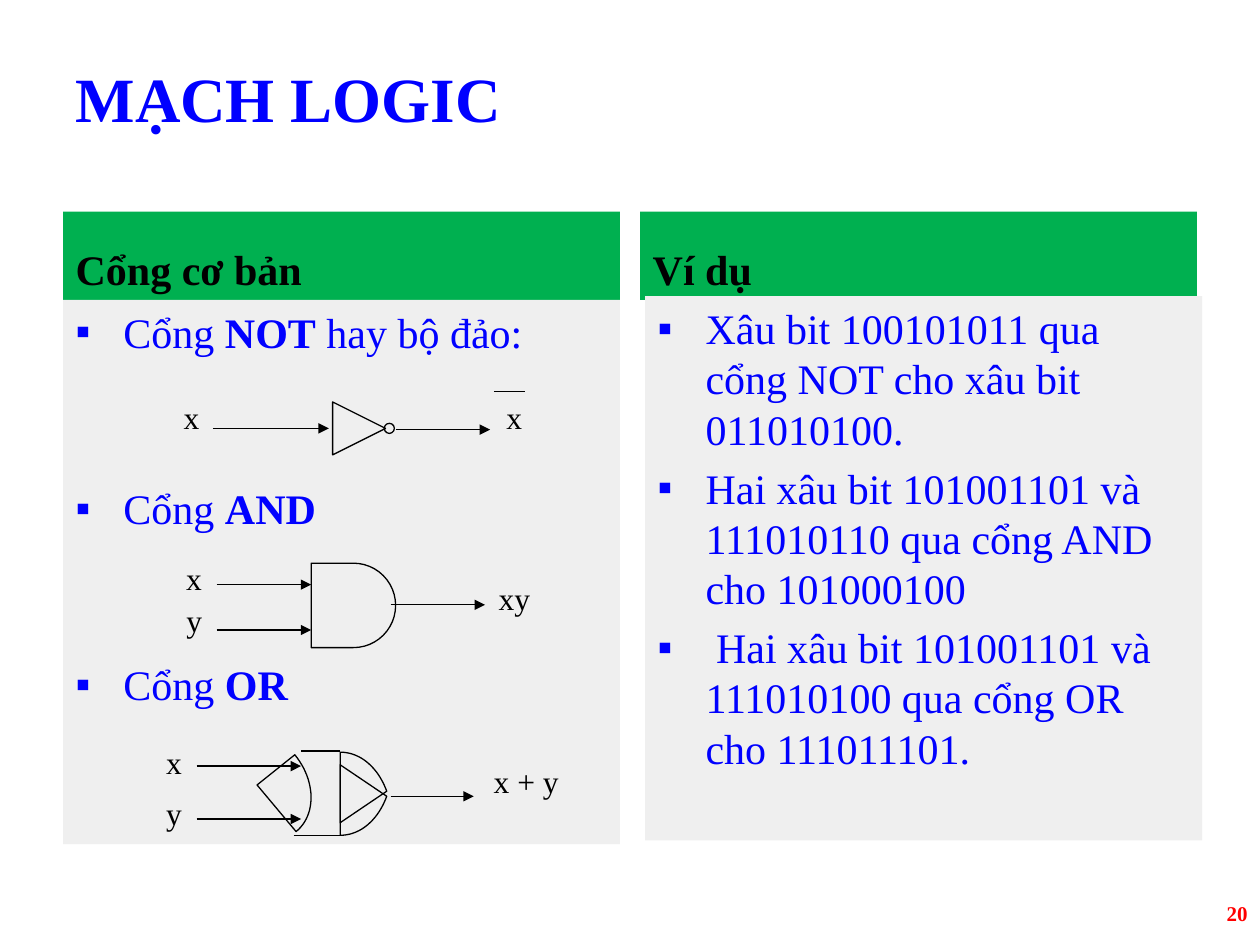
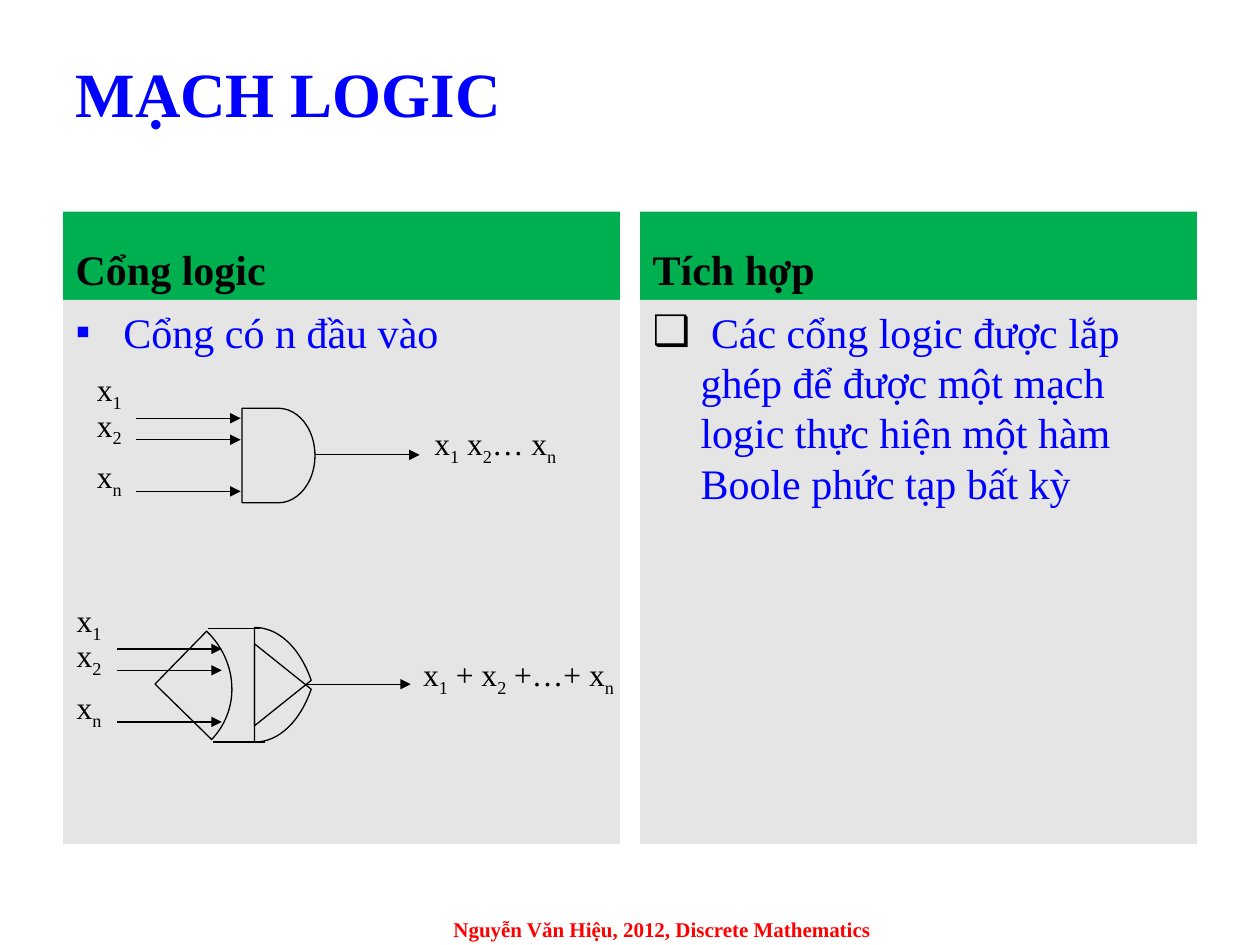
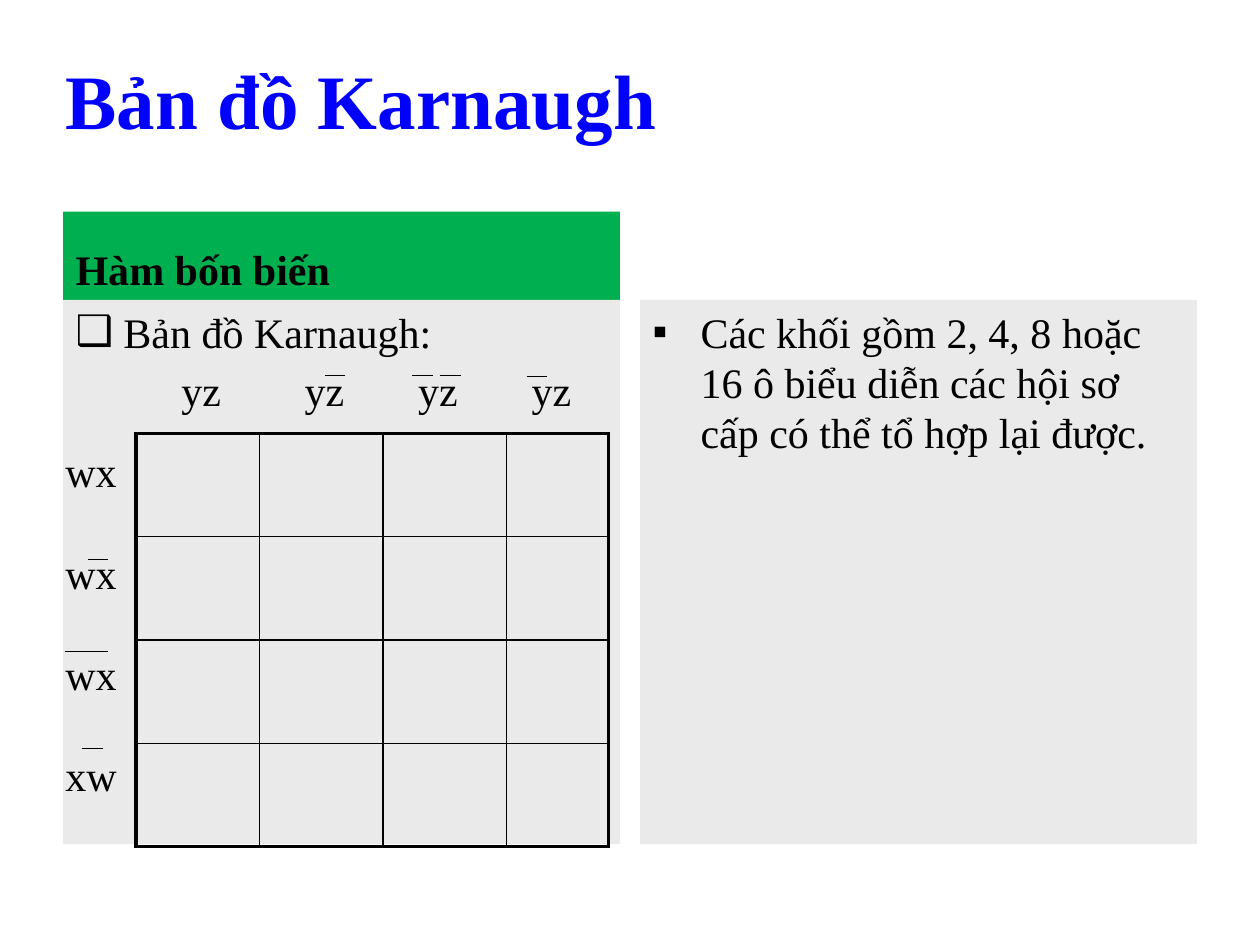
from lxml import etree
from pptx import Presentation
from pptx.dml.color import RGBColor
from pptx.enum.shapes import MSO_CONNECTOR, MSO_SHAPE
from pptx.enum.text import MSO_ANCHOR, MSO_AUTO_SIZE, PP_ALIGN
from pptx.oxml.ns import qn
from pptx.util import Inches, Pt

STRAIGHT = MSO_CONNECTOR.STRAIGHT
TRIANGLE = MSO_SHAPE.FLOWCHART_EXTRACT
CIRCLE = MSO_SHAPE.OVAL
AND_GATE = MSO_SHAPE.FLOWCHART_DELAY
LEFT, CENTER, RIGHT = PP_ALIGN.LEFT, PP_ALIGN.CENTER, PP_ALIGN.RIGHT
TOP, MIDDLE, BOTTOM = MSO_ANCHOR.TOP, MSO_ANCHOR.MIDDLE, MSO_ANCHOR.BOTTOM

FONT = "Times New Roman"
BLUE, GREEN, RED, BLACK = "0000FF", "00B050", "FF0000", "000000"
LEFT_HEAD, RIGHT_HEAD = (0.5, 1.68, 4.42, 0.7), (5.08, 1.68, 4.42, 0.7)
LEFT_BODY, RIGHT_BODY = (0.5, 2.38, 4.42, 4.32), (5.08, 2.38, 4.42, 4.32)

# Curved wedges of the OR gates: curve start, two controls, curve end, tip
OR_FRONT = [(2.7, 5.97), (2.86, 5.97), (3, 6.09), (3.07, 6.28), (2.7, 6.53)]
OR_BACK = [(2.34, 5.99), (2.51, 6.2), (2.51, 6.47), (2.35, 6.6), (2.04, 6.23)]
OR_N_FRONT = [(2.02, 4.98), (2.21, 4.98), (2.38, 5.14), (2.47, 5.4), (2.02, 5.76)]
OR_N_BACK = [(1.64, 5.01), (1.89, 5.25), (1.91, 5.63), (1.68, 5.87), (1.23, 5.43)]

SLIDES = [
    {
        "title": ("MẠCH LOGIC", (0.5, 0.3, 9, 0.95), 36),
        "heads": ["Cổng cơ bản", "Ví dụ"],
        "panel": "EFEFEF",
        "lists": [
            (LEFT_BODY, ["Cổng |NOT| hay bộ đảo:", "Cổng |AND|", "Cổng |OR|"],
             {"color": BLUE, "bullet": "▪", "bullet_color": BLUE, "gap": 72}),
            ((5.12, 2.35, 4.42, 4.32),
             ["Xâu bit 100101011 qua cổng NOT cho xâu bit 011010100.",
              "Hai xâu bit 101001101 và 111010110 qua cổng AND cho 101000100",
              " Hai xâu bit 101001101 và 111010100 qua cổng OR cho 111011101."],
             {"color": BLUE, "bullet": "▪", "bullet_color": BLUE, "gap": 4.8}),
        ],
        "footer": ("20", (7.67, 7.1, 2.33, 0.4), RIGHT, TOP),
        "gates": [(TRIANGLE, (2.64, 3.19, 0.42, 0.42), 90),
                  (CIRCLE, (3.05, 3.36, 0.08, 0.08), 0),
                  (AND_GATE, (2.47, 4.47, 0.67, 0.67), 0)],
        "wedges": [OR_FRONT, [(x, 12.6 - y) for x, y in OR_FRONT], OR_BACK],
        "arrows": [(1.69, 3.4, 2.61, 3.4), (3.14, 3.41, 3.89, 3.41),
                   (1.72, 4.64, 2.47, 4.64), (1.72, 5, 2.47, 5), (3.1, 4.8, 3.85, 4.8),
                   (1.56, 6.08, 2.39, 6.08), (1.56, 6.5, 2.39, 6.5),
                   (3.1, 6.32, 3.76, 6.32)],
        "bars": [(3.92, 3.11, 4.17), (2.39, 5.96, 2.7), (2.33, 6.63, 2.7)],
        "labels": [("x", 1.36, 3.11, 0.33), ("x", 3.92, 3.11, 0.33),
                   ("x", 1.38, 4.39, 0.33), ("y", 1.38, 4.72, 0.42), ("xy", 3.86, 4.55, 0.67),
                   ("x", 1.22, 5.85, 0.33), ("y", 1.22, 6.25, 0.33),
                   ("x + y", 3.82, 6, 1.67)],
    },
    {
        "title": ("MẠCH LOGIC", (0.5, 0.3, 9, 0.87), 36),
        "heads": ["Cổng logic", "Tích hợp"],
        "panel": "E5E5E5",
        "lists": [
            (LEFT_BODY, ["Cổng có n đầu vào"],
             {"color": BLUE, "bullet": "▪", "bullet_color": BLUE}),
            (RIGHT_BODY,
             [" Các cổng logic được lắp ghép để được một mạch logic thực hiện "
              "một hàm Boole phức tạp bất kỳ"],
             {"color": BLUE, "bullet": "❑", "bullet_color": BLACK}),
        ],
        "footer": ("Nguyễn Văn Hiệu, 2012, Discrete Mathematics",
                   (3.42, 7.25, 3.67, 0.25), CENTER, MIDDLE),
        "gates": [(AND_GATE, (1.92, 3.24, 0.58, 0.75), 0)],
        "wedges": [OR_N_FRONT, [(x, 10.87 - y) for x, y in OR_N_FRONT], OR_N_BACK],
        "arrows": [(x, top + dy, x + 0.83, top + dy)
                   for x, top in ((1.08, 3.32), (0.93, 5.15)) for dy in (0, 0.17, 0.58)]
                  + [(2.5, 3.61, 3.33, 3.61), (2.43, 5.43, 3.26, 5.43)],
        "bars": [(1.69, 5.89, 2.1), (1.65, 4.99, 2.06)],
        "labels": [(f"x|{n}|", x, top + dy, 0.58)
                   for x, top in ((0.67, 2.89), (0.51, 4.72))
                   for n, dy in (("1", 0), ("2", 0.28), ("n", 0.69))]
                  + [("x|1| x|2|… x|n|", 3.35, 3.32, 2.5),
                     ("x|1| + x|2| +…+ x|n|", 3.26, 5.15, 2.5)],
    },
    {
        "title": ("Bản đồ Karnaugh", (0.42, 0.43, 8.58, 0.71), 44),
        "heads": ["Hàm bốn biến", None],
        "panel": "EAEAEA",
        "lists": [
            (LEFT_BODY, ["Bản đồ Karnaugh:"], {"bullet": "❑", "bullet_color": BLACK}),
            (RIGHT_BODY,
             ["Các khối gồm 2, 4, 8 hoặc 16 ô biểu diễn các hội sơ cấp có thể tổ hợp lại được."],
             {"bullet": "▪", "bullet_color": BLACK}),
        ],
        "bars": [(2.58, 2.98, 2.74), (3.27, 2.98, 3.44), (3.49, 2.98, 3.66),
                 (4.18, 2.99, 4.34), (0.7, 4.44, 0.86), (0.52, 5.17, 0.86),
                 (0.65, 5.94, 0.82)],
    },
]


def write(tf, paragraphs, size=24, color=BLACK, bold=False, accent="bold", align=LEFT,
          anchor=TOP, bullet=None, bullet_color=BLACK, gap=0, tabs=()):
    """Fill a text frame; parts between bars are bold or subscript, as accent says."""
    tf.word_wrap = True
    tf.auto_size = MSO_AUTO_SIZE.NONE
    tf.vertical_anchor = anchor
    for i, text in enumerate(paragraphs):
        p = tf.add_paragraph() if i else tf.paragraphs[0]
        pPr = p._p.get_or_add_pPr()
        if bullet:
            pPr.set("marL", str(Inches(0.38)))
            pPr.set("indent", str(-Inches(0.38)))
            clr = etree.SubElement(pPr, qn("a:buClr"))
            etree.SubElement(clr, qn("a:srgbClr"), val=bullet_color)
            etree.SubElement(pPr, qn("a:buChar"), char=bullet)
        if tabs:
            stops = etree.SubElement(pPr, qn("a:tabLst"))
            for pos in tabs:
                etree.SubElement(stops, qn("a:tab"), pos=str(Inches(pos)), algn="l")
        p.alignment = align
        p.space_before = Pt(gap if i else 0)
        for k, part in enumerate(text.split("|")):
            if not part:
                continue
            r = p.add_run()
            r.text = part
            r.font.name = FONT
            r.font.size = Pt(size)
            r.font.color.rgb = RGBColor.from_string(color)
            r.font.bold = bold or (k % 2 == 1 and accent == "bold")
            if k % 2 and accent == "sub":
                r.font._element.set("baseline", "-25000")


def place(sp, box, fill=None):
    sp.left, sp.top, sp.width, sp.height = map(Inches, box)
    if fill:
        sp.fill.solid()
        sp.fill.fore_color.rgb = RGBColor.from_string(fill)
    return sp


prs = Presentation()
prs.slide_width, prs.slide_height = Inches(10), Inches(7.5)
comparison = prs.slide_layouts[4]

for page in SLIDES:
    s = prs.slides.add_slide(comparison)
    ph = s.placeholders
    title, box, size = page["title"]
    write(place(ph[0], box).text_frame, [title], size=size, color=BLUE, bold=True,
          anchor=MIDDLE)

    for idx, head, box in zip((1, 3), page["heads"], (LEFT_HEAD, RIGHT_HEAD)):
        if head:
            write(place(ph[idx], box, GREEN).text_frame, [head], bold=True, anchor=BOTTOM)
        else:
            ph[idx]._element.getparent().remove(ph[idx]._element)
    for idx, (box, items, fmt) in zip((2, 4), page["lists"]):
        write(place(ph[idx], box, page["panel"]).text_frame, items, **fmt)

    if "footer" in page:
        text, box, align, anchor = page["footer"]
        tb = s.shapes.add_textbox(*map(Inches, box))
        write(tb.text_frame, [text], size=12, color=RED, bold=True, align=align, anchor=anchor)

    outlines = []
    for kind, box, angle in page.get("gates", []):
        sp = s.shapes.add_shape(kind, *map(Inches, box))
        sp.rotation = angle
        outlines.append(sp)
    for *curve, tip in page.get("wedges", []):
        points = []
        for step in range(25):
            t = step / 24
            weights = ((1 - t) ** 3, 3 * t * (1 - t) ** 2, 3 * t * t * (1 - t), t ** 3)
            points.append([Inches(sum(w * c[axis] for w, c in zip(weights, curve)))
                           for axis in (0, 1)])
        points.append([Inches(v) for v in tip])
        builder = s.shapes.build_freeform(*points[0])
        builder.add_line_segments(points[1:], close=True)
        outlines.append(builder.convert_to_shape())
    for sp in outlines:
        sp.shadow.inherit = False
        sp.fill.background()
        sp.line.color.rgb = RGBColor.from_string(BLACK)
        sp.line.width = Pt(0.75)

    arrows = page.get("arrows", [])
    for i, ends in enumerate(arrows + [(x1, y, x2, y) for x1, y, x2 in page["bars"]]):
        line = s.shapes.add_connector(STRAIGHT, *map(Inches, ends))
        line.line.color.rgb = RGBColor.from_string(BLACK)
        line.line.width = Pt(0.75)
        if i < len(arrows):
            etree.SubElement(line.line._get_or_add_ln(), qn("a:tailEnd"), type="triangle")
        etree.SubElement(line._element.spPr, qn("a:effectLst"))

    for text, x, y, width in page.get("labels", []):
        tb = s.shapes.add_textbox(Inches(x), Inches(y), Inches(width), Inches(0.5))
        write(tb.text_frame, [text], size=18, accent="sub")

# Karnaugh map on the last slide
table = s.shapes.add_table(4, 4, Inches(1.08), Inches(3.44), Inches(3.75), Inches(3.28)).table
table.first_row = table.horz_banding = False
for col, width in zip(table.columns, (0.98, 0.98, 0.98, 0.81)):
    col.width = Inches(width)
for r in range(4):
    for c in range(4):
        cell = table.cell(r, c)
        tcPr = cell._tc.get_or_add_tcPr()
        for side, outer in (("L", c == 0), ("R", c == 3), ("T", r == 0), ("B", r == 3)):
            ln = etree.SubElement(tcPr, qn(f"a:ln{side}"), w=str(Pt(2.25 if outer else 1)))
            fill = etree.SubElement(ln, qn("a:solidFill"))
            etree.SubElement(fill, qn("a:srgbClr"), val=BLACK)
        cell.fill.background()

row_labels = s.shapes.add_textbox(Inches(0.42), Inches(3.49), Inches(0.83), Inches(2.93))
write(row_labels.text_frame, ["wx", "wx", "wx", "xw"], gap=29)
column_labels = s.shapes.add_textbox(Inches(1.34), Inches(2.84), Inches(3.42), Inches(0.51))
write(column_labels.text_frame, ["yz\tyz\tyz\tyz"], tabs=(0.98, 1.88, 2.78))

prs.save("out.pptx")
